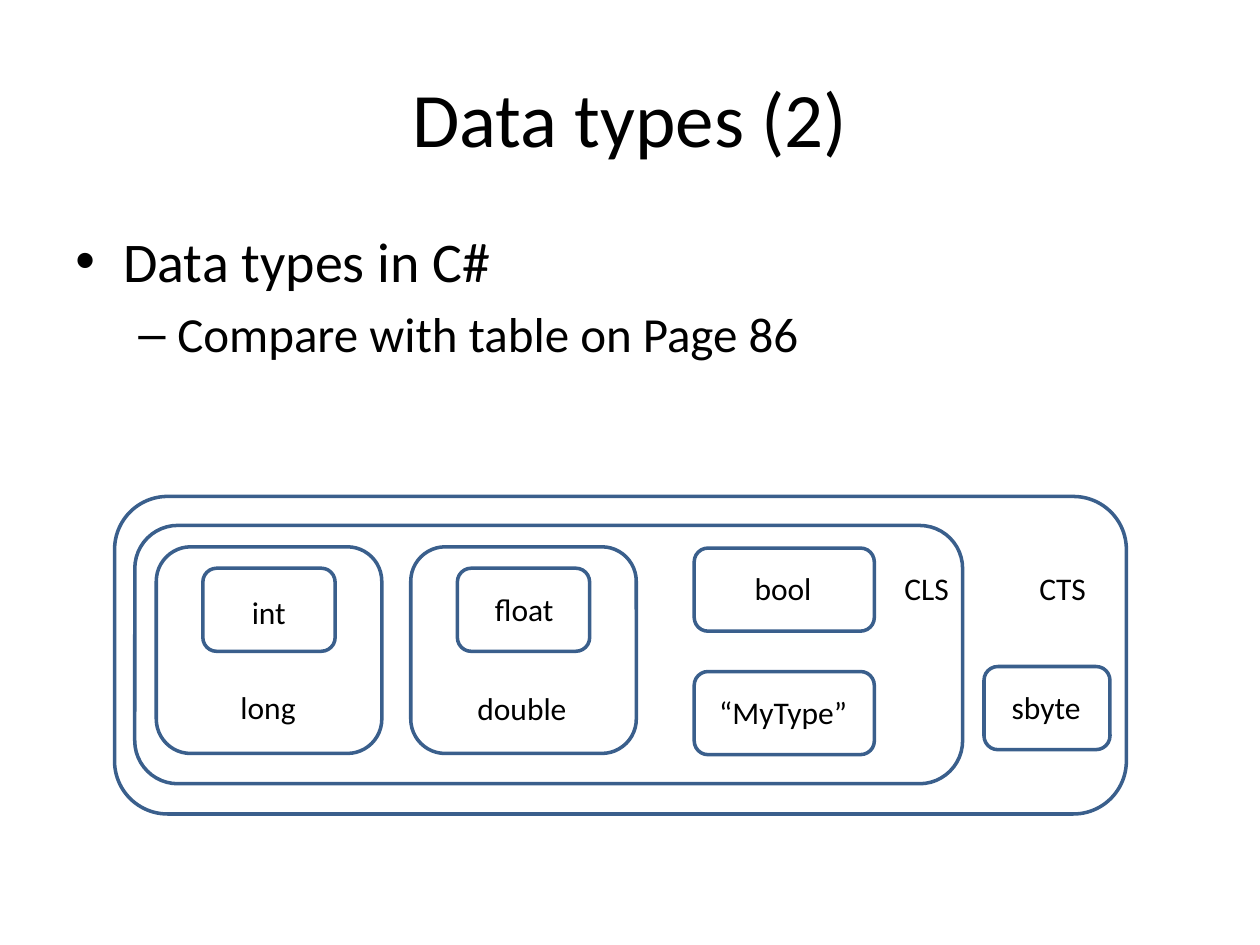
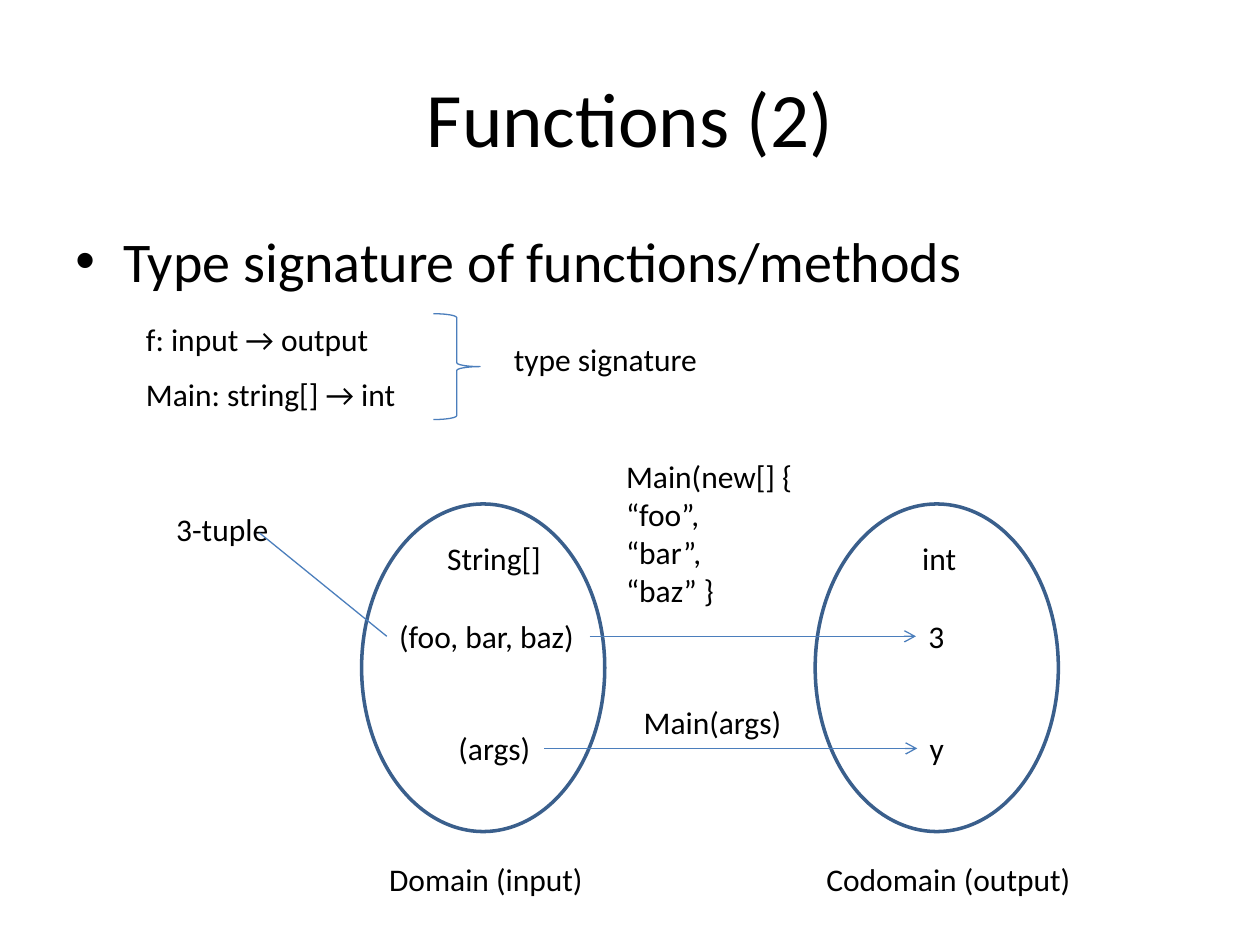
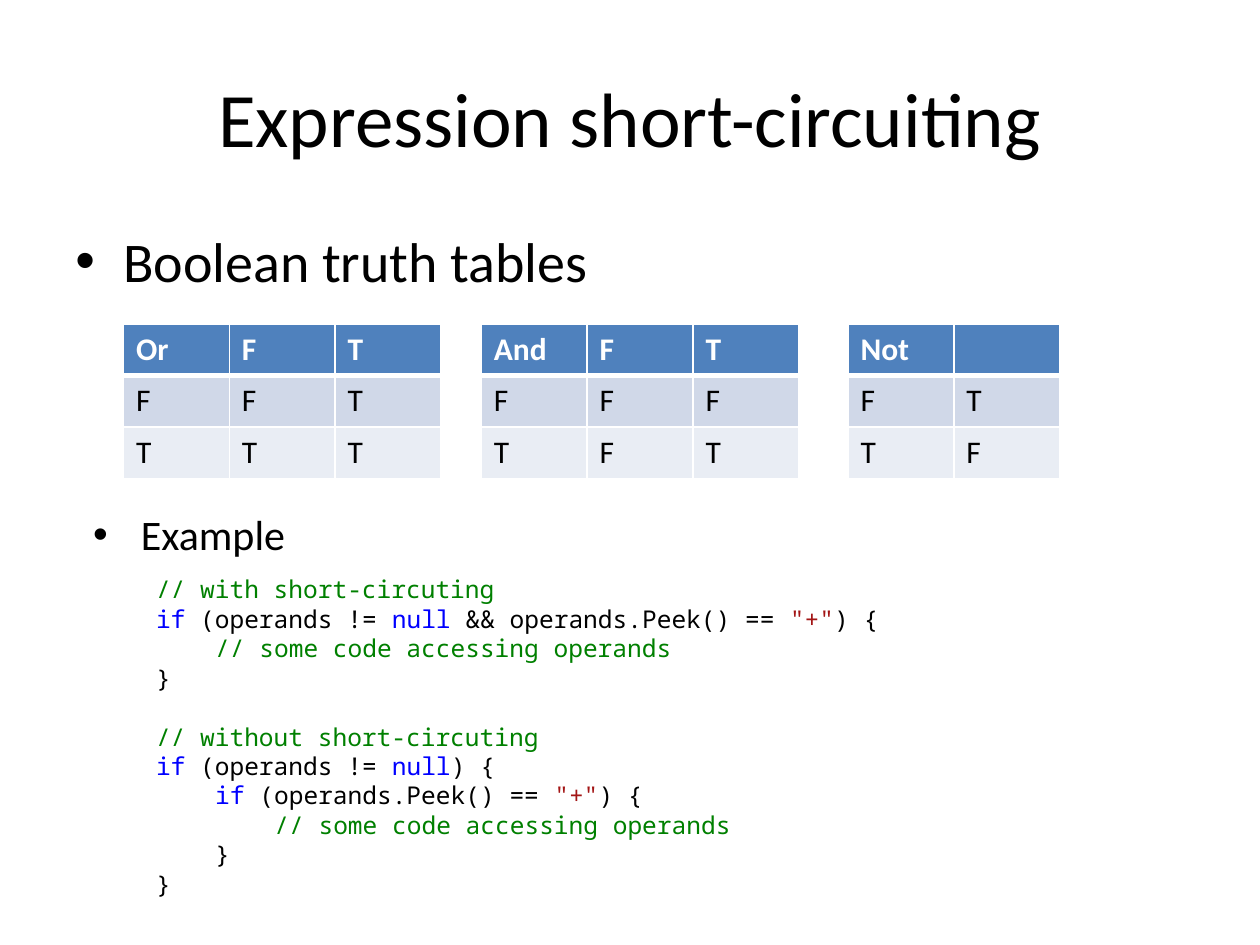
"""Builds three programming lecture slides on types, functions and short-circuiting."""
import pptx
import pptx.dml.color
import pptx.enum.shapes
import pptx.enum.text
import pptx.oxml
import pptx.oxml.ns
import pptx.util
from lxml import etree

Inches = pptx.util.Inches
Pt = pptx.util.Pt
RGBColor = pptx.dml.color.RGBColor
SHAPES = pptx.enum.shapes.MSO_SHAPE

BLACK = RGBColor(0x00, 0x00, 0x00)
WHITE = RGBColor(0xFF, 0xFF, 0xFF)
OUTLINE = RGBColor(0x3A, 0x5F, 0x8C)
CONNECTOR = RGBColor(0x4B, 0x7E, 0xBC)
HEADER_FILL = RGBColor(0x4F, 0x81, 0xBD)
ROW_FILLS = (RGBColor(0xD0, 0xD8, 0xE8), RGBColor(0xE9, 0xED, 0xF4))
COMMENT = RGBColor(0x00, 0x80, 0x00)
KEYWORD = RGBColor(0x00, 0x00, 0xFF)
LITERAL = RGBColor(0xA3, 0x15, 0x15)

TEXT_FONT = "Calibri"
CODE_FONT = "Noto Sans Mono"
CODE_SIZE = 14
CODE_PITCH = 16.8
CODE_INDENT = 0.47
LABEL_HEIGHT = 0.4
COLUMN_WIDTH = 0.84
ROW_HEIGHT = 0.41
BULLETS = (("•", 0.38, 0.38), ("–", 0.81, 0.31))


def format_run(run, size, color=BLACK, font=TEXT_FONT, bold=False):
    run.font.size = Pt(size)
    run.font.name = font
    run.font.color.rgb = color
    run.font.bold = bold


def format_paragraph(paragraph, size, **style):
    for run in paragraph.runs:
        format_run(run, size, **style)


def add_text_frame(slide, left, top, width, height, wrap=True):
    box = slide.shapes.add_textbox(Inches(left), Inches(top), Inches(width), Inches(height))
    box.text_frame.word_wrap = wrap
    return box.text_frame


def add_titled_slide(presentation, title):
    slide = presentation.slides.add_slide(presentation.slide_layouts[6])
    text_frame = add_text_frame(slide, 0.5, 0.3, 9, 1.25)
    text_frame.vertical_anchor = pptx.enum.text.MSO_ANCHOR.MIDDLE
    text_frame.text = title
    paragraph = text_frame.paragraphs[0]
    paragraph.alignment = pptx.enum.text.PP_ALIGN.CENTER
    format_paragraph(paragraph, 44)
    return slide


def indent_paragraph(paragraph, margin, hanging=0):
    properties = paragraph._p.get_or_add_pPr()
    properties.set("marL", str(Inches(margin)))
    properties.set("indent", str(-Inches(hanging)))
    return properties


def add_bullets(slide, items, left=0.5, top=1.75, height=0.74):
    """Add a bullet list of (text, level, size) items."""
    text_frame = add_text_frame(slide, left, top, 9, height)
    text_frame.text = "\n".join(text for text, level, size in items)
    for paragraph, (text, level, size) in zip(text_frame.paragraphs, items):
        character, margin, hanging = BULLETS[level]
        paragraph.level = level
        paragraph.space_before = Pt(size * 0.2)
        properties = indent_paragraph(paragraph, margin, hanging)
        font = etree.SubElement(properties, pptx.oxml.ns.qn("a:buFont"))
        font.set("typeface", "Arial")
        bullet = etree.SubElement(properties, pptx.oxml.ns.qn("a:buChar"))
        bullet.set("char", character)
        format_paragraph(paragraph, size)


def add_label(slide, text, left, top, width, height=LABEL_HEIGHT):
    text_frame = add_text_frame(slide, left, top, width, height, wrap=False)
    text_frame.auto_size = pptx.enum.text.MSO_AUTO_SIZE.SHAPE_TO_FIT_TEXT
    text_frame.text = text
    for paragraph in text_frame.paragraphs:
        format_paragraph(paragraph, 18)


def add_outline(slide, kind, left, top, width, height, color=OUTLINE, weight=2):
    shape = slide.shapes.add_shape(
        kind, Inches(left), Inches(top), Inches(width), Inches(height))
    shape.shadow.inherit = False
    shape.fill.background()
    shape.line.color.rgb = color
    shape.line.width = Pt(weight)


def add_line(slide, start, end, arrow=False):
    line = slide.shapes.add_connector(
        pptx.enum.shapes.MSO_CONNECTOR.STRAIGHT, *map(Inches, start + end))
    line.line.color.rgb = CONNECTOR
    line.line.width = Pt(0.75)
    if arrow:
        tail = etree.SubElement(line.line._get_or_add_ln(), pptx.oxml.ns.qn("a:tailEnd"))
        tail.set("type", "arrow")
    etree.SubElement(line._element.spPr, pptx.oxml.ns.qn("a:effectLst"))


def set_borders(cell, bottom):
    properties = cell._tc.get_or_add_tcPr()
    for side, weight in (("L", 1), ("R", 1), ("T", 1), ("B", bottom)):
        properties.append(pptx.oxml.parse_xml(
            f'<a:ln{side} {pptx.oxml.ns.nsdecls("a")} w="{Pt(weight)}">'
            f'<a:solidFill><a:srgbClr val="{WHITE}"/></a:solidFill></a:ln{side}>'))


def add_truth_table(slide, left, rows):
    """Add a table from strings whose words are the cells."""
    column_count = len(rows[1])
    table = slide.shapes.add_table(
        len(rows), column_count, Inches(left), Inches(2.57),
        Inches(COLUMN_WIDTH * column_count), Inches(ROW_HEIGHT * len(rows))).table
    for column in table.columns:
        column.width = Inches(COLUMN_WIDTH)
    for row_index, values in enumerate(rows):
        header = row_index == 0
        table.rows[row_index].height = Inches(ROW_HEIGHT)
        for cell, value in zip(table.rows[row_index].cells, values):
            set_borders(cell, 3 if header else 1)
            cell.fill.solid()
            cell.fill.fore_color.rgb = HEADER_FILL if header else ROW_FILLS[row_index - 1]
            if value:
                cell.text = value
                format_paragraph(cell.text_frame.paragraphs[0], 18,
                                 color=WHITE if header else BLACK, bold=header)


def add_code(slide, blocks, left, top, width, height):
    """Add code blocks of (depth, coloured parts) lines, one line apart."""
    text_frame = add_text_frame(slide, left, top, width, height)
    paragraph = None
    for block in blocks:
        for line_index, (depth, parts) in enumerate(block):
            starts_later_block = paragraph is not None and line_index == 0
            paragraph = text_frame.add_paragraph() if paragraph else text_frame.paragraphs[0]
            paragraph.line_spacing = Pt(CODE_PITCH)
            if starts_later_block:
                paragraph.space_before = Pt(CODE_PITCH)
            indent_paragraph(paragraph, depth * CODE_INDENT)
            for text, color in parts:
                run = paragraph.add_run()
                run.text = text
                format_run(run, CODE_SIZE, color, CODE_FONT)


def build_data_types(presentation):
    slide = add_titled_slide(presentation, "Data types (2)")
    add_bullets(slide, [("Data types in C#", 0, 32),
                        ("Compare with table on Page 86", 1, 28)], height=1.92)
    type_sets = [(0.91, 3.94, 8.03, 2.52), (1.07, 4.17, 6.57, 2.05)]
    for left in (1.24, 3.26):
        type_sets += [(left, 4.34, 1.79, 1.64), (left + 0.37, 4.51, 1.05, 0.66)]
    type_sets += [(5.51, 4.35, 1.43, 0.66), (5.51, 5.33, 1.43, 0.66), (7.81, 5.29, 1, 0.66)]
    for bounds in type_sets:
        add_outline(slide, SHAPES.ROUNDED_RECTANGLE, *bounds)
    for label in (("CTS", 8.15, 4.47, 0.58), ("CLS", 7.08, 4.47, 0.56),
                  ("long", 1.81, 5.41, 0.65), ("int", 1.9, 4.66, 0.47),
                  ("double", 3.69, 5.42, 0.92), ("float", 3.83, 4.63, 0.67),
                  ("bool", 5.89, 4.47, 0.66), ("“MyType”", 5.61, 5.45, 1.22),
                  ("sbyte", 7.93, 5.41, 0.75)):
        add_label(slide, *label)


def build_functions(presentation):
    slide = add_titled_slide(presentation, "Functions (2)")
    add_bullets(slide, [("Type signature of functions/methods", 0, 32)])
    for left in (2.87, 6.47):
        add_outline(slide, SHAPES.OVAL, left, 4, 1.93, 2.6)
    add_outline(slide, SHAPES.RIGHT_BRACE, 3.44, 2.49, 0.37, 0.84, CONNECTOR, 0.75)
    for label in (("f: input → output", 1.06, 2.49, 1.99),
                  ("Main: string[] → int", 1.06, 2.93, 2.2),
                  ("type signature", 3.98, 2.65, 1.67),
                  ("String[]", 3.45, 4.23, 0.95), ("int", 7.22, 4.23, 0.47),
                  ("(foo, bar, baz)", 3.07, 4.85, 1.61), ("3", 7.27, 4.85, 0.33),
                  ("(args)", 3.54, 5.74, 0.78), ("y", 7.28, 5.74, 0.32),
                  ("Main(new[] {\n“foo”,\n“bar”,\n“baz” }", 4.87, 3.58, 1.59, 1.31),
                  ("Main(args)", 5.01, 5.53, 1.31),
                  ("Domain (input)", 2.99, 6.78, 1.76),
                  ("Codomain (output)", 6.46, 6.78, 2.24),
                  ("3-tuple", 1.3, 4, 0.94)):
        add_label(slide, *label)
    add_line(slide, (4.68, 5.05), (7.27, 5.05), arrow=True)
    add_line(slide, (4.32, 5.94), (7.28, 5.94), arrow=True)
    add_line(slide, (3.07, 5.05), (2.06, 4.23))


def build_short_circuiting(presentation):
    slide = add_titled_slide(presentation, "Expression short-circuiting")
    add_bullets(slide, [("Boolean truth tables", 0, 32)], height=0.66)
    add_truth_table(slide, 0.98, [("Or", "F", "T"), "FFT", "TTT"])
    add_truth_table(slide, 3.82, [("And", "F", "T"), "FFF", "TFT"])
    add_truth_table(slide, 6.73, [("Not", ""), "FT", "TF"])
    add_bullets(slide, [("Example", 0, 24)], left=0.64, top=3.99, height=0.63)

    null_check = [("if", KEYWORD), (" (operands != ", BLACK), ("null", KEYWORD)]
    plus_check = [("operands.Peek() == ", BLACK), ("\"+\"", LITERAL), (") {", BLACK)]
    body = [("// some code accessing operands", COMMENT)]
    closing = [("}", BLACK)]
    combined = [(0, [("// with short-circuting", COMMENT)]),
                (0, null_check + [(" && ", BLACK)] + plus_check),
                (1, body), (0, closing)]
    nested = [(0, [("// without short-circuting", COMMENT)]),
              (0, null_check + [(") {", BLACK)]),
              (1, [("if", KEYWORD), (" (", BLACK)] + plus_check),
              (2, body), (1, closing), (0, closing)]
    add_code(slide, [combined, nested], 1.14, 4.51, 7.64, 2.69)


def main():
    presentation = pptx.Presentation()
    presentation.slide_width = Inches(10)
    presentation.slide_height = Inches(7.5)
    build_data_types(presentation)
    build_functions(presentation)
    build_short_circuiting(presentation)
    presentation.save("out.pptx")


main()
